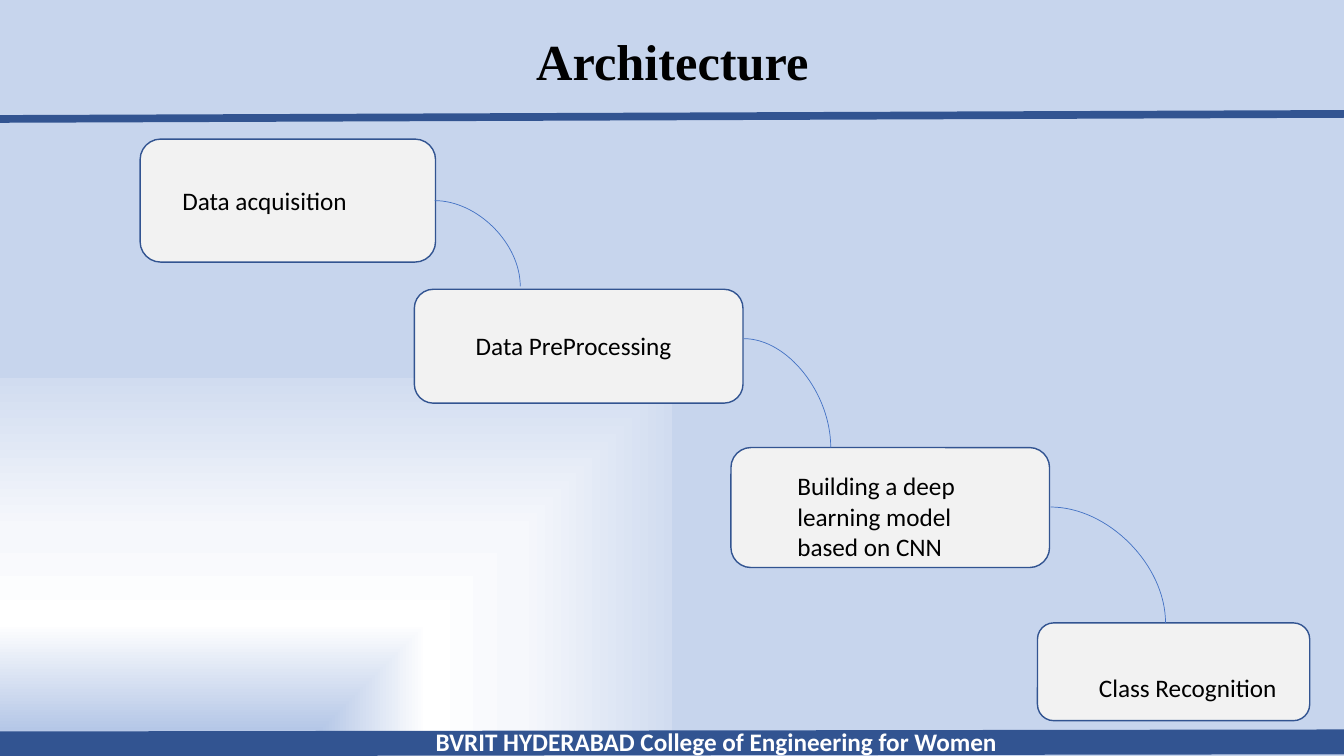
from lxml.etree import SubElement
from pptx import Presentation
from pptx.dml.color import RGBColor
from pptx.enum.shapes import MSO_CONNECTOR, MSO_SHAPE
from pptx.enum.text import MSO_ANCHOR, PP_ALIGN
from pptx.oxml.ns import qn
from pptx.util import Inches, Pt

NAVY, BLUE, GREY, BLACK, WHITE = "325491", "4472C4", "F2F2F2", "000000", "FFFFFF"
BACKGROUND_STOPS = [
    (6, "BECEEA"), (7, "B5C7E7"), (35, "FFFFFF"), (60, "F6F8FC"),
    (100, "D1DCF0"), (100, "ABC0E4"), (100, "C7D5ED"),
]
# Step label, box (left, top, width, height), label (left, top, width, height)
STEPS = [
    ("Data acquisition", (1.39, 1.38, 2.93, 1.22), (1.71, 1.79, 2.04, 0.4)),
    ("Data PreProcessing", (4.11, 2.87, 3.26, 1.13), (4.62, 3.23, 2.41, 0.4)),
    ("Building a deep learning model based on CNN",
     (7.25, 4.44, 3.16, 1.19), (7.81, 4.62, 2.04, 1.01)),
    ("Class Recognition", (10.29, 6.18, 2.7, 0.97), (10.8, 6.62, 2.19, 0.4)),
]
# Start and end of the curve from each step to the next
CURVES = [
    ((4.31, 1.99), (5.16, 2.84)),
    ((7.38, 3.36), (8.24, 4.44)),
    ((10.42, 5.03), (11.56, 6.18)),
]


def color(value):
    return RGBColor.from_string(value)


def inches(values):
    return [Inches(value) for value in values]


def set_background(slide):
    """Fill the slide with a rectangular gradient centred on the lower left corner."""
    slide.background.fill.gradient()
    gradient = slide._element.find(".//" + qn("a:gradFill"))
    for child in list(gradient):
        gradient.remove(child)
    stops = SubElement(gradient, qn("a:gsLst"))
    for position, value in BACKGROUND_STOPS:
        stop = SubElement(stops, qn("a:gs"), pos=str(position * 1000))
        SubElement(stop, qn("a:srgbClr"), val=value)
    shade = SubElement(gradient, qn("a:path"), {"path": "rect"})
    SubElement(shade, qn("a:fillToRect"), t="100000", r="100000")


def add_text(slide, text, area, size=18, font="Calibri", fill=BLACK,
             bold=False, align=PP_ALIGN.LEFT):
    text_frame = slide.shapes.add_textbox(*inches(area)).text_frame
    text_frame.word_wrap = True
    text_frame.text = text
    paragraph = text_frame.paragraphs[0]
    paragraph.alignment = align
    run_font = paragraph.runs[0].font
    run_font.name, run_font.size, run_font.bold = font, Pt(size), bold
    run_font.color.rgb = color(fill)
    return text_frame


def add_box(slide, area):
    box = slide.shapes.add_shape(MSO_SHAPE.ROUNDED_RECTANGLE, *inches(area))
    box.shadow.inherit = False
    box.fill.solid()
    box.fill.fore_color.rgb = color(GREY)
    box.line.color.rgb = color(NAVY)
    box.line.width = Pt(1)


def add_line(slide, start, end, stroke, width, kind=MSO_CONNECTOR.STRAIGHT):
    connector = slide.shapes.add_connector(kind, *inches(start + end))
    connector.line.color.rgb = color(stroke)
    connector.line.width = Pt(width)
    properties = connector._element.spPr
    SubElement(properties, qn("a:effectLst"))
    if kind == MSO_CONNECTOR.CURVE:
        properties.find(qn("a:prstGeom")).set("prst", "curvedConnector2")


def main():
    presentation = Presentation()
    presentation.slide_width, presentation.slide_height = inches((13.33, 7.5))
    slide = presentation.slides.add_slide(presentation.slide_layouts[6])
    set_background(slide)

    title = add_text(slide, "Architecture", (0.92, 0.4, 11.5, 0.48), size=36,
                     font="Times New Roman", bold=True, align=PP_ALIGN.CENTER)
    title.vertical_anchor = MSO_ANCHOR.MIDDLE
    title.paragraphs[0].line_spacing = 0.9
    add_line(slide, (0, 1.18), (13.34, 1.13), NAVY, 5.5)

    for label, box_area, label_area in STEPS:
        add_box(slide, box_area)
        add_text(slide, label, label_area)
    for start, end in CURVES:
        add_line(slide, start, end, BLUE, 0.5, MSO_CONNECTOR.CURVE)

    add_line(slide, (-0.01, 7.38), (13.38, 7.36), NAVY, 17.75)
    add_text(slide, "BVRIT HYDERABAD College of Engineering for Women",
             (3.58, 7.16, 7.05, 0.4), fill=WHITE, bold=True, align=PP_ALIGN.CENTER)
    presentation.save("out.pptx")


if __name__ == "__main__":
    main()
